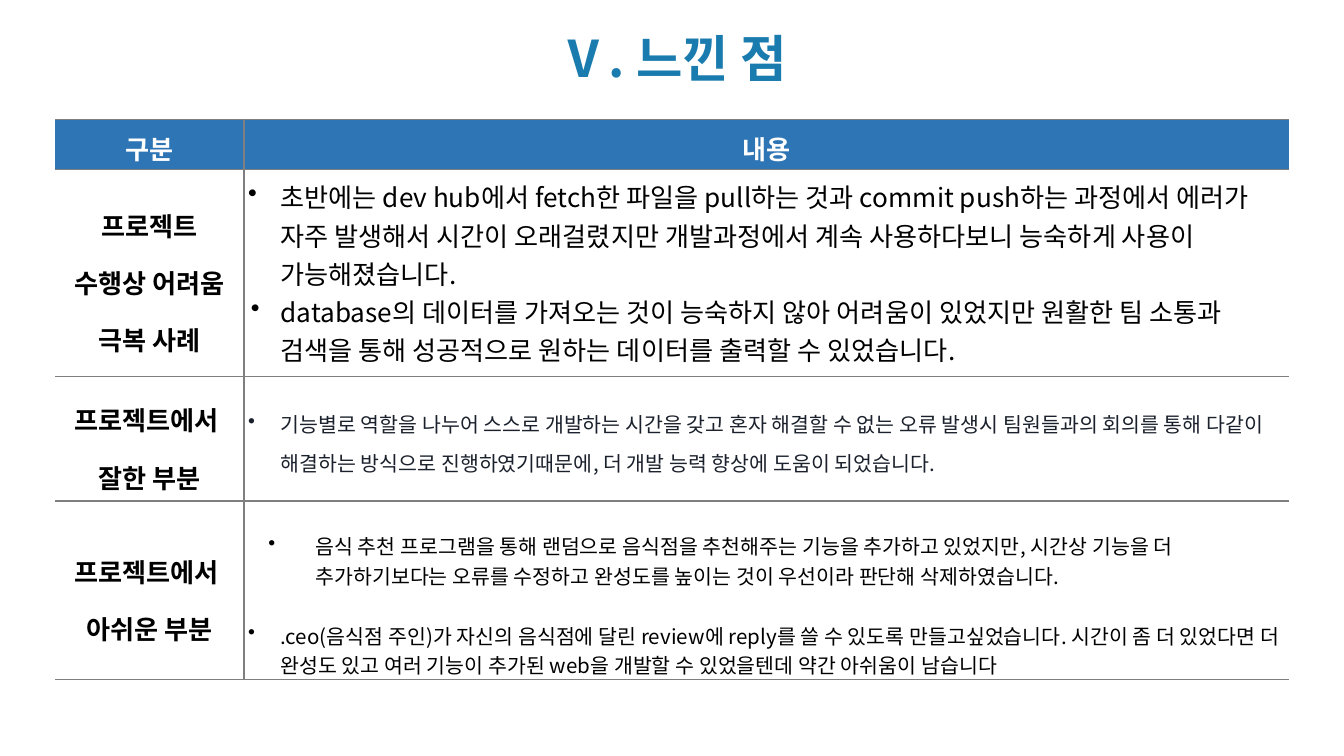
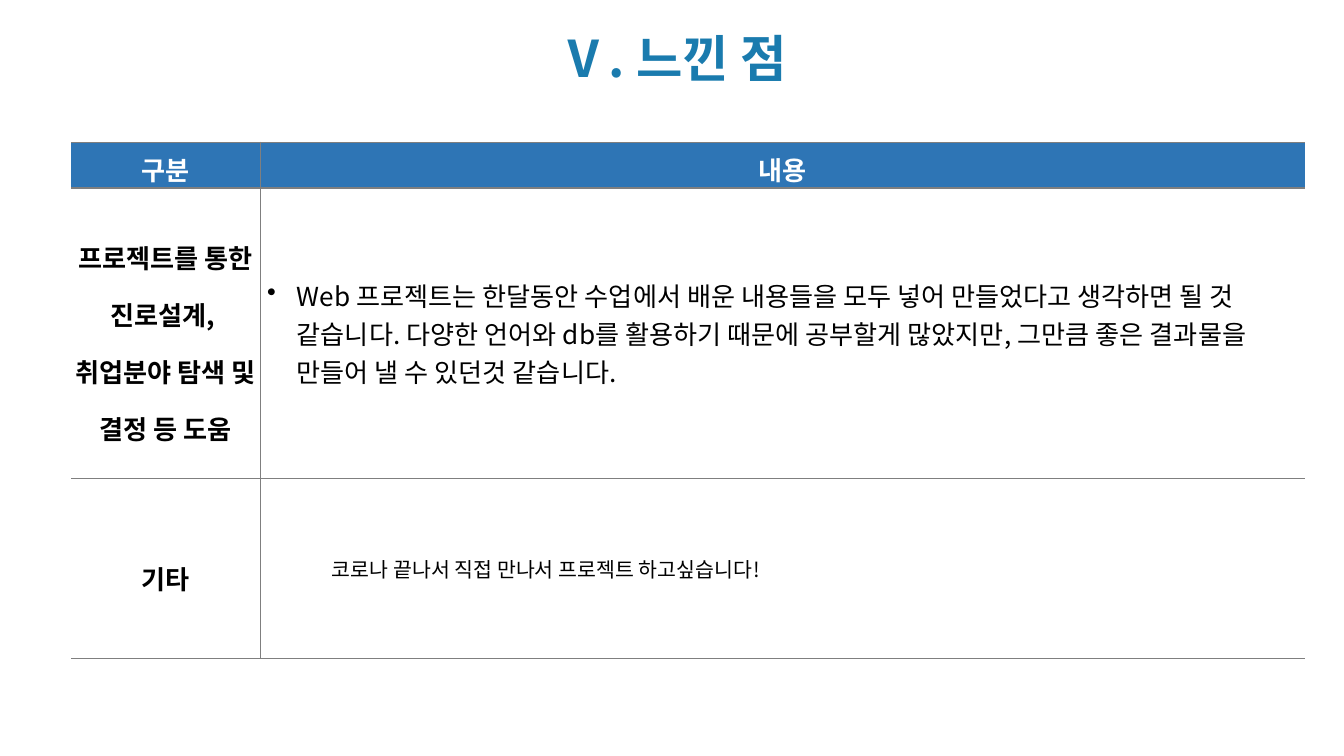
from dataclasses import dataclass

from lxml import etree
from pptx import Presentation
from pptx.dml.color import RGBColor
from pptx.enum import text as t
from pptx.oxml import ns
from pptx.util import Cm, Pt

FONT = "Noto Sans CJK KR"
TITLE_BLUE = RGBColor(0x1A, 0x7B, 0xAE)
HEADER_BLUE = RGBColor(0x2E, 0x75, 0xB5)
RULE_GRAY = RGBColor(0x7F, 0x7F, 0x7F)
INK = RGBColor(0x1B, 0x21, 0x2C)
BLACK = RGBColor(0, 0, 0)
WHITE = RGBColor(0xFF, 0xFF, 0xFF)

TITLE = "Ⅴ. 느낀 점"
HEADINGS = ("구분", "내용")
COLUMN_WIDTHS = (Cm(3.57), Cm(19.75))
NO_STYLE = "{2D5ABB26-0587-4C30-8999-92F81FD0307C}"


@dataclass
class Item:
    """One paragraph of the content column."""
    text: str
    size: int = 14
    color: RGBColor = BLACK
    left: float = 0.61
    hanging: float = 0.61
    bullet: bool = True
    spacing: float = 1.0
    before: int = 0


@dataclass
class Row:
    height: float
    labels: list
    items: list
    top_margin: float = 0


FIRST_ROWS = [
    Row(3.91, ["프로젝트", "수행상 어려움 극복 사례"], [
        Item("초반에는 dev hub에서 fetch한 파일을 pull하는 것과 commit push하는 과정에서 "
             "에러가 자주 발생해서 시간이 오래걸렸지만 개발과정에서 계속 사용하다보니 "
             "능숙하게 사용이 가능해졌습니다."),
        Item("database의 데이터를 가져오는 것이 능숙하지 않아 어려움이 있었지만 원활한 팀 소통과 "
             "검색을 통해 성공적으로 원하는 데이터를 출력할 수 있었습니다.", hanging=0.56),
    ]),
    Row(2.36, ["프로젝트에서 ", "잘한 부분"], [
        Item("기능별로 역할을 나누어 스스로 개발하는 시간을 갖고 혼자 해결할 수 없는 오류 발생시 "
             "팀원들과의 회의를 통해 다같이 해결하는 방식으로 진행하였기때문에, "
             "더 개발 능력 향상에 도움이 되었습니다.", size=11, color=INK, spacing=1.3),
    ]),
    Row(3.33, ["프로젝트에서 ", "아쉬운 부분"], [
        Item("음식 추천 프로그램을 통해 랜덤으로 음식점을 추천해주는 기능을 추가하고 있었지만, "
             "시간상 기능을 더 추가하기보다는 오류를 수정하고 완성도를 높이는 것이 "
             "우선이라 판단해 삭제하였습니다.", size=11, left=1.27, hanging=0.89),
        Item(".ceo(음식점 주인)가 자신의 음식점에 달린 review에 reply를 쓸 수 있도록 "
             "만들고싶었습니다. 시간이 좀 더 있었다면 더 완성도 있고 여러 기능이 추가된 web을 "
             "개발할 수 있었을텐데 약간 아쉬움이 남습니다", size=11, before=16),
    ], top_margin=0.56),
]

SECOND_ROWS = [
    Row(5.49, ["프로젝트를 통한 진로설계, ", "취업분야 탐색 및 결정 등 도움"], [
        Item("Web 프로젝트는 한달동안 수업에서 배운 내용들을 모두 넣어 만들었다고 생각하면 될 것 "
             "같습니다. 다양한 언어와 db를 활용하기 때문에 공부할게 많았지만, 그만큼 좋은 결과물을 "
             "만들어 낼 수 있던것 같습니다.", hanging=0.56),
    ]),
    Row(3.4, ["기타"], [
        Item("코로나 끝나서 직접 만나서 프로젝트 하고싶습니다!", size=11,
             left=1.27, hanging=0, bullet=False),
    ]),
]


def add_element(parent, tag, **attributes):
    return etree.SubElement(parent, ns.qn(tag), attributes)


def format_runs(paragraph, size, color, bold):
    for run in paragraph.runs:
        run.font.size = Pt(size)
        run.font.bold = bold
        run.font.color.rgb = color
        run.font.name = FONT
        add_element(run.font._element, "a:ea", typeface=FONT)


def paragraphs_for(text_frame, count):
    """Return exactly count paragraphs of a fresh text frame."""
    for _ in range(count - 1):
        text_frame.add_paragraph()
    return text_frame.paragraphs


def add_title(slide, left, top, width, height):
    title = slide.shapes.title
    title.left, title.top, title.width, title.height = left, top, width, height
    frame = title.text_frame
    frame.text = TITLE
    frame.auto_size = t.MSO_AUTO_SIZE.NONE
    frame.vertical_anchor = t.MSO_ANCHOR.MIDDLE
    frame.margin_left = frame.margin_right = Cm(0.18)
    frame.margin_top = frame.margin_bottom = Cm(0.1)
    paragraph = frame.paragraphs[0]
    paragraph.alignment = t.PP_ALIGN.CENTER
    format_runs(paragraph, 27, TITLE_BLUE, True)


def style_cell(cell, sides, fill=None, left_margin=0, top_margin=0):
    cell.vertical_anchor = t.MSO_ANCHOR.MIDDLE
    cell.margin_left, cell.margin_top = Cm(left_margin), Cm(top_margin)
    cell.margin_right = cell.margin_bottom = 0
    properties = cell._tc.get_or_add_tcPr()
    # Borders come before the fill
    for side in sides:
        line = add_element(properties, f"a:ln{side}", w=str(Pt(0.75)))
        solid = add_element(line, "a:solidFill")
        add_element(solid, "a:srgbClr", val=str(RULE_GRAY))
    if fill is None:
        cell.fill.background()
    else:
        cell.fill.solid()
        cell.fill.fore_color.rgb = fill


def write_centered(cell, lines, color, spacing):
    for paragraph, line in zip(paragraphs_for(cell.text_frame, len(lines)), lines):
        paragraph.text = line
        paragraph.alignment = t.PP_ALIGN.CENTER
        paragraph.line_spacing = spacing
        format_runs(paragraph, 14, color, True)


def write_items(cell, items):
    for paragraph, item in zip(paragraphs_for(cell.text_frame, len(items)), items):
        paragraph.text = item.text
        properties = paragraph._p.get_or_add_pPr()
        properties.set("marL", str(Cm(item.left)))
        properties.set("indent", str(-Cm(item.hanging)))
        if item.bullet:
            bullet_color = add_element(properties, "a:buClr")
            add_element(bullet_color, "a:srgbClr", val=str(item.color))
            add_element(properties, "a:buChar", char="•")
        paragraph.line_spacing = item.spacing
        if item.before:
            paragraph.space_before = Pt(item.before)
        format_runs(paragraph, item.size, item.color, False)


def add_review_table(slide, left, top, header_height, rows):
    heights = [Cm(header_height)] + [Cm(row.height) for row in rows]
    table = slide.shapes.add_table(len(heights), len(COLUMN_WIDTHS), left, top,
                                   sum(COLUMN_WIDTHS), sum(heights)).table
    table.first_row = table.horz_banding = False
    table._tbl.tblPr.find(ns.qn("a:tableStyleId")).text = NO_STYLE
    for column, width in zip(table.columns, COLUMN_WIDTHS):
        column.width = width
    for table_row, height in zip(table.rows, heights):
        table_row.height = height

    # Header
    for index, (heading, sides) in enumerate(zip(HEADINGS, ("RTB", "LTB"))):
        cell = table.cell(0, index)
        style_cell(cell, sides, fill=HEADER_BLUE)
        write_centered(cell, [heading], WHITE, 1.2)

    # Body
    for index, row in enumerate(rows, start=1):
        label, content = table.cell(index, 0), table.cell(index, 1)
        style_cell(label, "RTB")
        write_centered(label, row.labels, BLACK, 1.5)
        style_cell(content, "LTB", left_margin=0.08, top_margin=row.top_margin)
        write_items(content, row.items)


def add_review_slide(presentation, left, top, header_height, rows):
    slide = presentation.slides.add_slide(presentation.slide_layouts[5])
    add_title(slide, Cm(7.77), Cm(0.41), Cm(9.88), Cm(1.35))
    add_review_table(slide, left, top, header_height, rows)


def main():
    presentation = Presentation()
    presentation.slide_width, presentation.slide_height = Cm(25.4), Cm(14.29)
    add_review_slide(presentation, Cm(1.04), Cm(2.26), 0.94, FIRST_ROWS)
    add_review_slide(presentation, Cm(1.35), Cm(2.69), 0.79, SECOND_ROWS)
    presentation.save("out.pptx")


if __name__ == "__main__":
    main()
